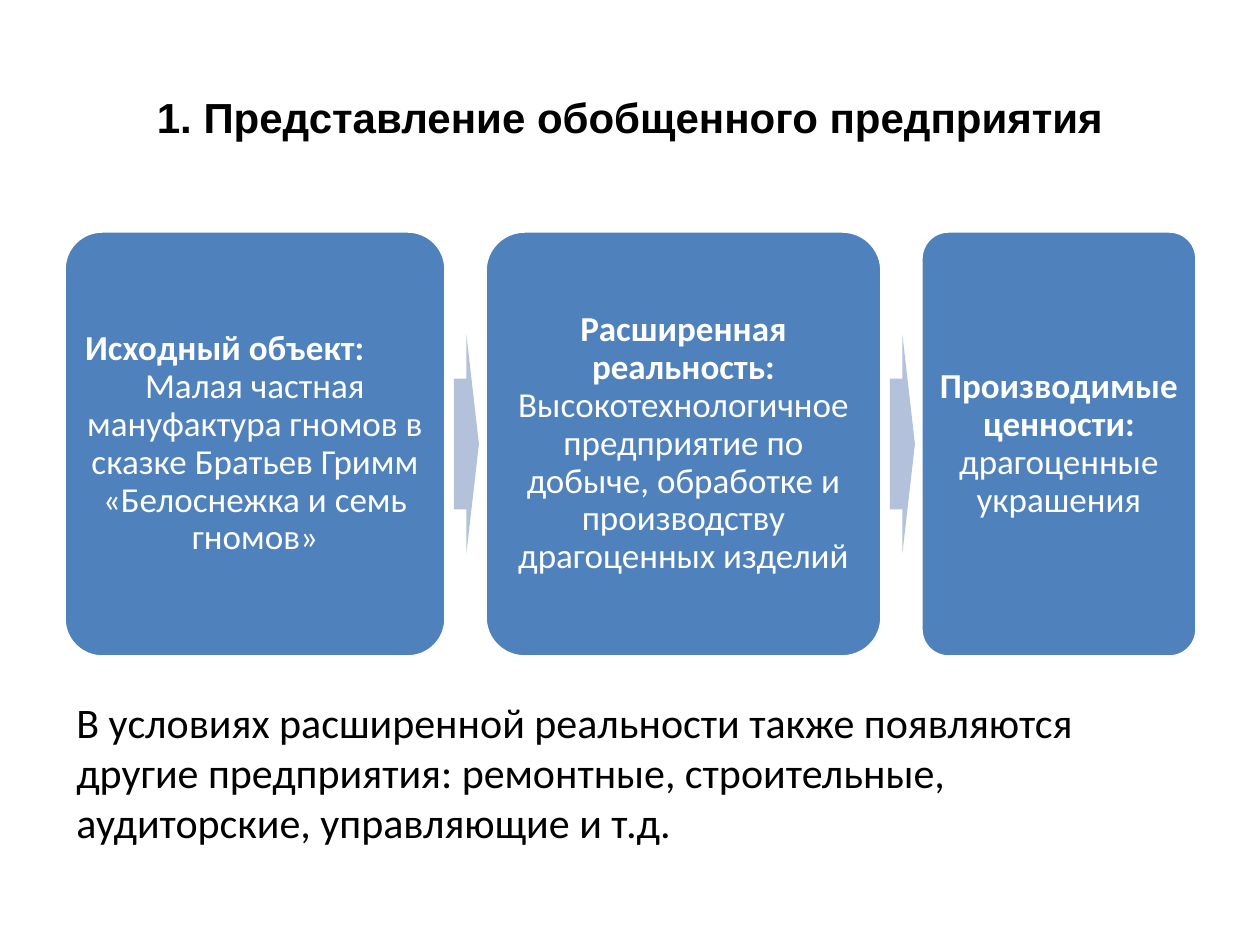
from dataclasses import dataclass

from pptx import Presentation
from pptx.dml.color import RGBColor
from pptx.enum.shapes import MSO_SHAPE as Shape
from pptx.enum.text import MSO_ANCHOR as Anchor, PP_ALIGN as Align
from pptx.util import Emu, Pt

# Content
TITLE = "1. Представление обобщенного предприятия"
# Each stage: width in px, then paragraphs of (alignment, [(text, bold), ...])
STAGES = [
    (382, [
        (Align.LEFT, [("Исходный объект:", True)]),
        (Align.CENTER, [("Малая частная мануфактура гномов в сказке Братьев Гримм "
                         "«Белоснежка и семь гномов»", False)]),
    ]),
    (397, [
        (Align.CENTER, [("Расширенная реальность:", True),
                        (" Высокотехнологичное предприятие по добыче, обработке и "
                         "производству драгоценных изделий", False)]),
    ]),
    (276, [
        (Align.CENTER, [("Производимые ценности: ", True),
                        ("драгоценные украшения", False)]),
    ]),
]
NOTE = ("В условиях расширенной реальности также появляются другие предприятия: "
        "ремонтные, строительные, аудиторские, управляющие и т.д.")


@dataclass(frozen=True)
class Theme:
    ink: RGBColor = RGBColor.from_string("000000")
    paper: RGBColor = RGBColor.from_string("FFFFFF")
    stage: RGBColor = RGBColor.from_string("4F81BD")
    arrow: RGBColor = RGBColor.from_string("B3C1DB")
    title_font: str = "Arial"
    body_font: str = "Calibri"
    large: int = 24
    small: int = 20


THEME = Theme()

# Layout in px
PX_PER_INCH = 126
PAGE = (1260, 945)
TITLE_AREA = (63, 38, 1134, 158)
NOTE_AREA = (64, 690, 1134, 165)
LEFT, TOP, HEIGHT, GAP = 64, 231, 426, 39
ARROW_OFFSET, ARROW_WIDTH, ARROW_HEIGHT = 8, 25, 218
INSET = 10


def px(value):
    return Emu(round(value * 914400 / PX_PER_INCH))


def area(*values):
    return [px(value) for value in values]


def add_span(para, text, font, size, color, bold=False):
    span = para.add_run()
    span.text = text
    span.font.name = font
    span.font.size = Pt(size)
    span.font.bold = bold
    span.font.color.rgb = color


def add_block(page, kind, place, fill, adjustments):
    block = page.shapes.add_shape(kind, *area(*place))
    block.shadow.inherit = False
    block.fill.solid()
    block.fill.fore_color.rgb = fill
    block.line.fill.background()
    for index, value in enumerate(adjustments):
        block.adjustments[index] = value
    return block


def add_stage(page, left, width, paragraphs):
    box = add_block(page, Shape.ROUNDED_RECTANGLE, (left, TOP, width, HEIGHT),
                    THEME.stage, [0.1])
    box.line.color.rgb = THEME.paper
    box.line.width = Pt(2)
    frame = box.text_frame
    frame.word_wrap = True
    frame.vertical_anchor = Anchor.MIDDLE
    frame.margin_left = frame.margin_right = px(INSET)
    frame.margin_top = frame.margin_bottom = px(INSET)
    for index, (alignment, spans) in enumerate(paragraphs):
        para = frame.add_paragraph() if index else frame.paragraphs[0]
        para.alignment = alignment
        para.line_spacing = 0.9
        for text, bold in spans:
            add_span(para, text, THEME.body_font, THEME.small, THEME.paper, bold)


def main():
    deck = Presentation()
    deck.slide_width, deck.slide_height = area(*PAGE)
    page = deck.slides.add_slide(deck.slide_layouts[5])

    # Title
    title = page.shapes.title
    title.left, title.top, title.width, title.height = area(*TITLE_AREA)
    title.text_frame.vertical_anchor = Anchor.MIDDLE
    para = title.text_frame.paragraphs[0]
    para.alignment = Align.CENTER
    add_span(para, TITLE, THEME.title_font, THEME.large, THEME.ink, True)

    # Stages with an arrow in each gap
    left = LEFT
    arrow_top = TOP + (HEIGHT - ARROW_HEIGHT) / 2
    for index, (width, paragraphs) in enumerate(STAGES):
        add_stage(page, left, width, paragraphs)
        left += width
        if index < len(STAGES) - 1:
            place = (left + ARROW_OFFSET, arrow_top, ARROW_WIDTH, ARROW_HEIGHT)
            add_block(page, Shape.RIGHT_ARROW, place, THEME.arrow, [0.6, 0.5])
        left += GAP

    # Closing note
    note = page.shapes.add_textbox(*area(*NOTE_AREA))
    note.text_frame.word_wrap = True
    add_span(note.text_frame.paragraphs[0], NOTE, THEME.body_font, THEME.large, THEME.ink)

    deck.save("out.pptx")


if __name__ == "__main__":
    main()
